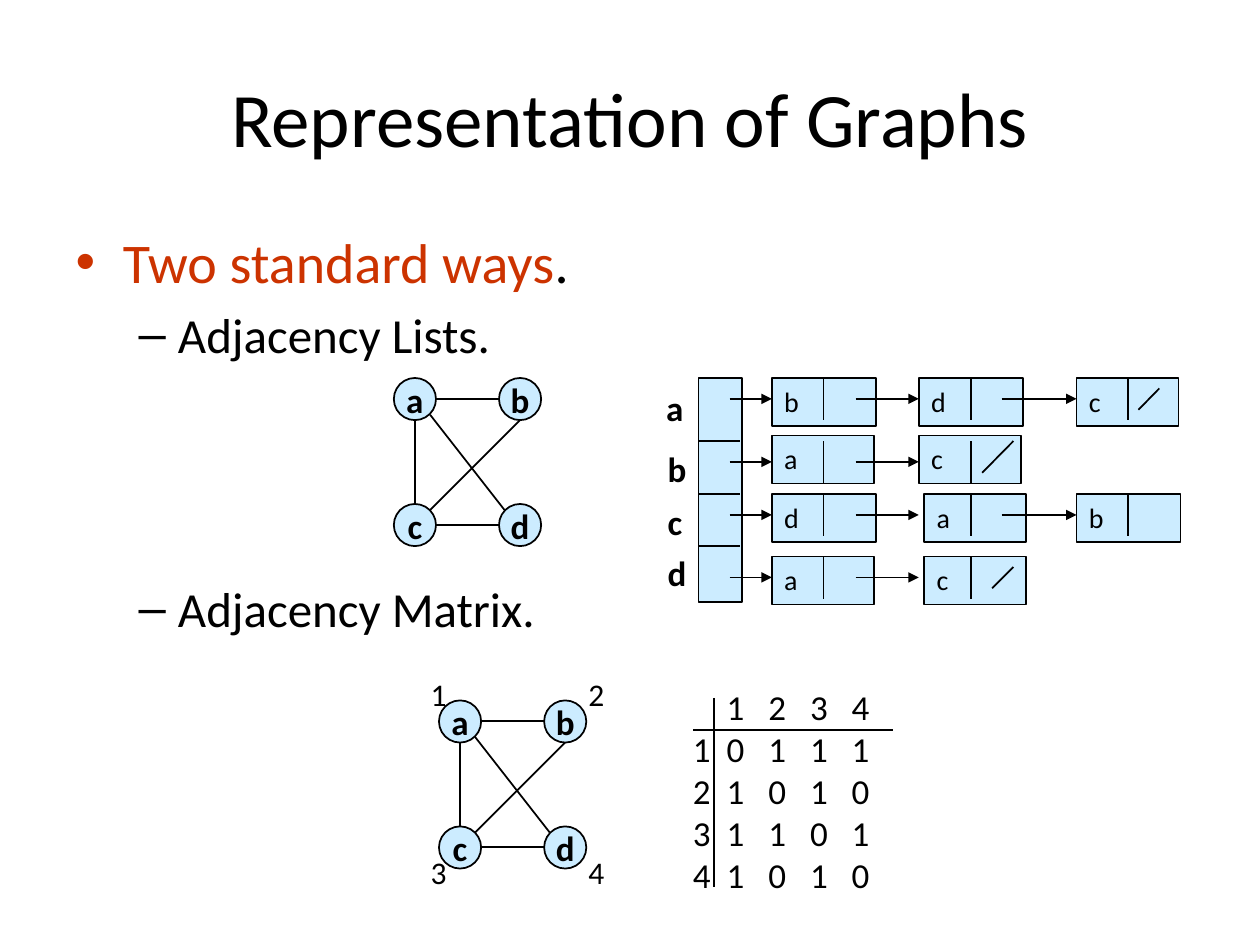
"""Build a slide on two ways to represent a graph."""
from lxml import etree
from pptx import Presentation
from pptx.dml.color import RGBColor
from pptx.enum.shapes import MSO_CONNECTOR, MSO_SHAPE
from pptx.enum.text import MSO_ANCHOR, MSO_AUTO_SIZE, PP_ALIGN
from pptx.oxml.ns import qn
from pptx.util import Cm, Pt

LINE = MSO_CONNECTOR.STRAIGHT
RECT, OVAL = MSO_SHAPE.RECTANGLE, MSO_SHAPE.OVAL
TOP, MIDDLE = MSO_ANCHOR.TOP, MSO_ANCHOR.MIDDLE
LEFT, CENTER = PP_ALIGN.LEFT, PP_ALIGN.CENTER
NO_FIT = MSO_AUTO_SIZE.NONE
BLACK = RGBColor(0x00, 0x00, 0x00)
RED = RGBColor(0xCC, 0x33, 0x00)
BLUE = RGBColor(0xCC, 0xEC, 0xFF)
FACE = "Calibri"

TITLE = "Representation of Graphs"
LEAD = ("Two standard ways", ".")
WAYS = [("Adjacency Lists.", None), ("Adjacency Matrix.", 123)]

NODE, STEP, DROP = 0.85, 2.12, 2.54
NODES = [("a", 0, 0), ("b", 1, 0), ("c", 0, 1), ("d", 1, 1)]
EDGES = [
    (0.85, 0.42, 2.12, 0.42),
    (2.54, 0.85, 0.73, 2.66),
    (0.42, 0.85, 0.42, 2.54),
    (0.73, 0.74, 2.23, 2.66),
    (0.85, 2.96, 2.12, 2.96),
]
GRAPHS = [(7.94, 7.62), (8.85, 14.12)]
MARKS = [("1", 8.43, 13.49), ("2", 11.61, 13.49),
         ("3", 8.43, 17.07), ("4", 11.61, 17.07)]

HEADS = [("a", 13.18, 7.67), ("b", 13.21, 8.89),
         ("c", 13.21, 9.96), ("d", 13.21, 11.0)]
LISTS = [
    (7.62, 7.62, [("b", 15.56, 2.1), ("d", 18.52, 2.1), ("c", 21.7, 2.06)]),
    (8.89, 8.78, [("a", 15.56, 2.06), ("c", 18.52, 2.06)]),
    (9.96, 9.96, [("d", 15.56, 2.1), ("a", 18.63, 2.06), ("b", 21.7, 2.1)]),
    (11.22, 11.22, [("a", 15.56, 2.06), ("c", 18.63, 2.06)]),
]
SPLITS = [16.6, 19.57, 22.74]
ARROWS = [(14.71, 15.56), (17.25, 18.52), (20.19, 21.7)]
ENDS = [(23.37, 7.83, 22.95, 8.26), (20.43, 8.89, 19.8, 9.53),
        (20.43, 11.43, 20.0, 11.86)]

MATRIX = [" 1234", "10111", "21010", "31101", "41010"]
RULES = [(13.97, 14.71, 18.01, 14.71), (14.4, 14.07, 14.4, 17.88)]
STOPS = [0.68 + 0.84 * i for i in range(4)]


def style(para, size, bold=False, color=BLACK):
    font = para.font
    font.name, font.size, font.bold = FACE, Pt(size), bold
    font.color.rgb = color


def line(slide, ends, arrow=False):
    link = slide.shapes.add_connector(LINE, *map(Cm, ends))
    link.line.color.rgb = BLACK
    link.line.width = Pt(1)
    props = link._element.spPr
    if arrow:
        etree.SubElement(props.find(qn("a:ln")), qn("a:tailEnd"), type="triangle")
    etree.SubElement(props, qn("a:effectLst"))


def block(slide, kind, box, text="", size=16, bold=False, align=LEFT, anchor=TOP):
    shape = slide.shapes.add_shape(kind, *map(Cm, box))
    shape.shadow.inherit = False
    shape.fill.solid()
    shape.fill.fore_color.rgb = BLUE
    shape.line.color.rgb = BLACK
    shape.line.width = Pt(1)
    frame = shape.text_frame
    frame.word_wrap = False
    frame.vertical_anchor = anchor
    para = frame.paragraphs[0]
    para.text, para.alignment = text, align
    style(para, size, bold)


def label(slide, box, text, size, bold=False):
    frame = slide.shapes.add_textbox(*map(Cm, box)).text_frame
    frame.word_wrap = False
    frame.text = text
    for para in frame.paragraphs:
        if "\t" in text:
            tabs = etree.SubElement(para._p.get_or_add_pPr(), qn("a:tabLst"))
            for stop in STOPS:
                etree.SubElement(tabs, qn("a:tab"), pos=str(Cm(stop)), algn="l")
        style(para, size, bold)


def place(shape, box):
    shape.left, shape.top, shape.width, shape.height = map(Cm, box)
    shape.text_frame.auto_size = NO_FIT
    return shape.text_frame


def words(slide):
    head = place(slide.shapes.title, (1.27, 0.76, 22.86, 3.18))
    head.text = TITLE
    head.vertical_anchor = MIDDLE
    head.paragraphs[0].alignment = CENTER
    style(head.paragraphs[0], 44)
    body = place(slide.placeholders[1], (1.27, 4.45, 22.86, 12.57))
    para = body.paragraphs[0]
    para.space_before = Pt(0)
    style(para, 32)
    for text, color in zip(LEAD, (RED, BLACK)):
        run = para.add_run()
        run.text = text
        run.font.color.rgb = color
    for text, gap in WAYS:
        para = body.add_paragraph()
        para.text, para.level = text, 1
        if gap:
            para.space_before = Pt(gap)
        style(para, 28)


def graph(slide, left, top):
    for name, col, row in NODES:
        box = (left + col * STEP, top + row * DROP, NODE, NODE)
        block(slide, OVAL, box, name, 20, True, CENTER, MIDDLE)
    for x1, y1, x2, y2 in EDGES:
        line(slide, (left + x1, top + y1, left + x2, top + y2))


def lists(slide):
    block(slide, RECT, (14.08, 7.62, 0.88, 4.52))
    for name, x, y in HEADS:
        label(slide, (x, y, 0.9, 1.09), name, 20, True)
    for y in (8.89, 9.96, 11.0):
        line(slide, (14.08, y, 14.92, y))
    for lane, top, cells in LISTS:
        for name, x, wide in cells:
            block(slide, RECT, (x, top, wide, 0.97), name)
        mid = lane + 0.42
        for _, split, (start, end) in zip(cells, SPLITS, ARROWS):
            line(slide, (split, lane, split, lane + 0.85))
            line(slide, (start, mid, end, mid), True)
    for ends in ENDS:
        line(slide, ends)


def matrix(slide):
    for name, x, y in MARKS:
        label(slide, (x, y, 0.84, 1.02), name, 18)
    rows = ["\t".join(row).lstrip(" ") for row in MATRIX]
    label(slide, (13.72, 13.69, 4.22, 4.5), "\n".join(rows), 20)
    for ends in RULES:
        line(slide, ends)


def main():
    deck = Presentation()
    deck.slide_width, deck.slide_height = Cm(25.4), Cm(19.05)
    slide = deck.slides.add_slide(deck.slide_layouts[1])
    words(slide)
    for left, top in GRAPHS:
        graph(slide, left, top)
    lists(slide)
    matrix(slide)
    deck.save("out.pptx")


if __name__ == "__main__":
    main()
